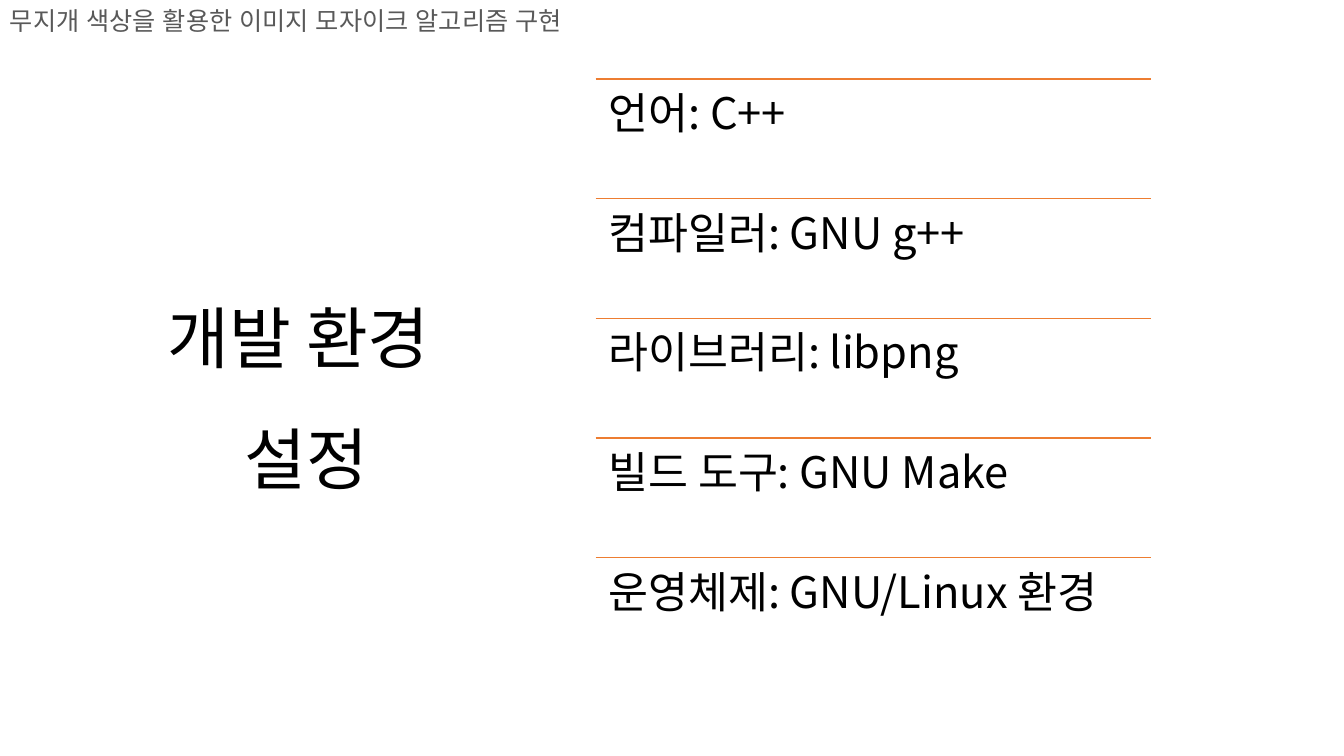
from lxml.etree import SubElement
from pptx import Presentation
from pptx.dml.color import RGBColor
from pptx.enum.shapes import MSO_CONNECTOR
from pptx.enum.text import MSO_ANCHOR, MSO_AUTO_SIZE, PP_ALIGN
from pptx.oxml.ns import qn
from pptx.util import Cm, Pt

COLORS = {"text": "000000", "header": "595959", "rule": "ED7D31"}
FONT = "Noto Sans CJK KR"
HEADER = "무지개 색상을 활용한 이미지 모자이크 알고리즘 구현"
TITLE = "개발 환경\v 설정"
ITEMS = [
    "언어: C++",
    "컴파일러: GNU g++",
    "라이브러리: libpng",
    "빌드 도구: GNU Make",
    "운영체제: GNU/Linux 환경",
]


def write(tf, text, size, color="text", font=FONT):
    tf.word_wrap = True
    tf.auto_size = MSO_AUTO_SIZE.NONE
    p = tf.paragraphs[0]
    p.text = text
    p.font.size = Pt(size)
    p.font.name = font
    p.font.color.rgb = RGBColor.from_string(COLORS[color])
    props = p._p.get_or_add_pPr().get_or_add_defRPr()
    SubElement(props, qn("a:ea")).set("typeface", font)
    return p


def add_header(s, left, top, width, height):
    sp = s.shapes.add_textbox(left, top, width, height)
    write(sp.text_frame, HEADER, 18, "header", "Arial")


def add_title(s, left, top, width, height):
    sp = s.shapes.title
    sp.left, sp.top, sp.width, sp.height = left, top, width, height
    tf = sp.text_frame
    tf.vertical_anchor = MSO_ANCHOR.MIDDLE
    p = write(tf, TITLE, 48)
    p.alignment = PP_ALIGN.CENTER
    p.line_spacing = 1.5


def add_rule(s, left, top, width):
    line = s.shapes.add_connector(
        MSO_CONNECTOR.STRAIGHT, left, top, left + width, top)
    line.line.color.rgb = RGBColor.from_string(COLORS["rule"])
    line.line.width = Pt(1)
    SubElement(line._element.spPr, qn("a:effectLst"))


def add_items(s, left, top, width, height):
    row_height = height // len(ITEMS)
    for i, item in enumerate(ITEMS):
        row_top = top + i * row_height
        add_rule(s, left, row_top, width)
        sp = s.shapes.add_textbox(left, row_top, width, row_height)
        tf = sp.text_frame
        tf.margin_left = tf.margin_right = Cm(0.33)
        tf.margin_top = tf.margin_bottom = Cm(0.33)
        p = write(tf, item, 31)
        p.line_spacing = 0.9


def main():
    prs = Presentation()
    prs.slide_width, prs.slide_height = Cm(33.87), Cm(19.05)
    s = prs.slides.add_slide(prs.slide_layouts[5])
    add_header(s, Cm(0), Cm(0), Cm(17.17), Cm(2.57))
    add_title(s, Cm(2.59), Cm(2.92), Cm(9.88), Cm(13.16))
    add_items(s, Cm(15.01), Cm(1.99), Cm(14), Cm(15.08))
    prs.save("out.pptx")


if __name__ == "__main__":
    main()
